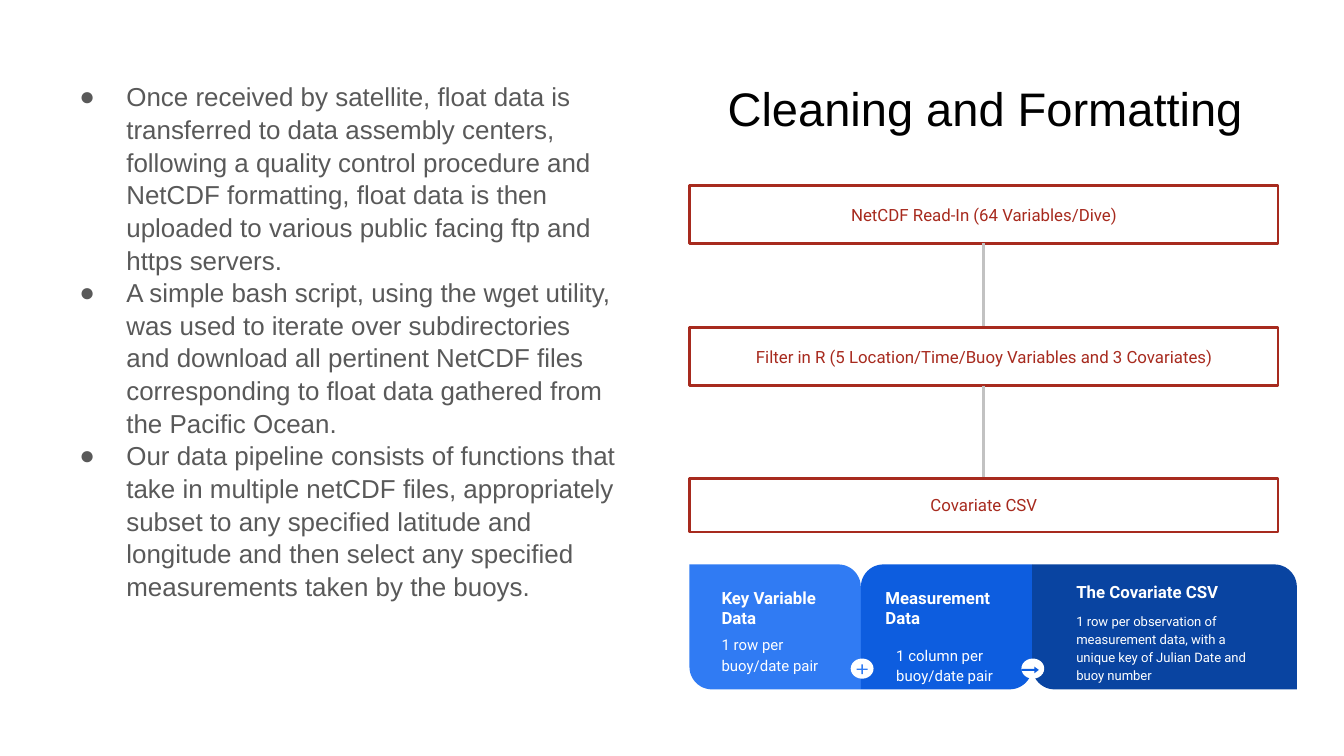
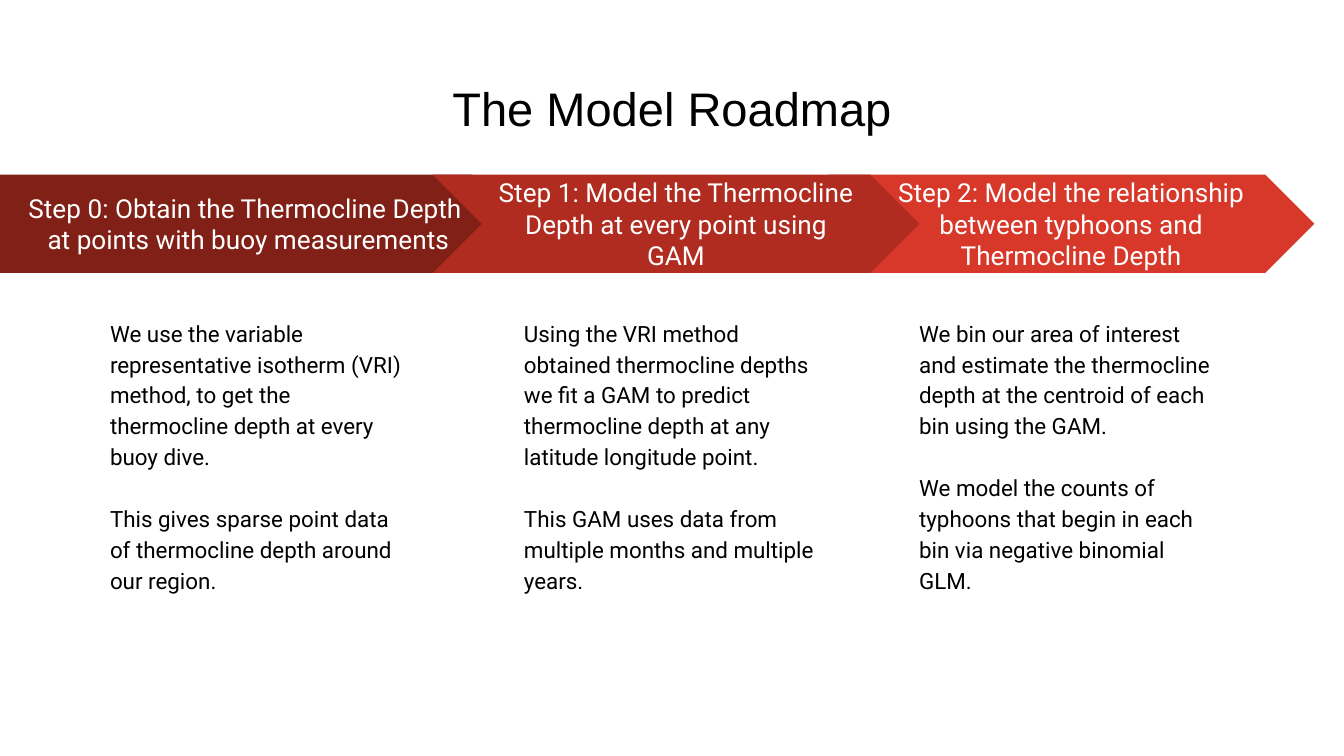
from dataclasses import dataclass
from lxml import etree
from pptx import Presentation
from pptx.dml.color import RGBColor
from pptx.enum.shapes import MSO_CONNECTOR, MSO_SHAPE
from pptx.enum.text import MSO_ANCHOR, MSO_AUTO_SIZE, PP_ALIGN
from pptx.oxml.ns import qn
from pptx.util import Inches, Pt

RECT, OVAL = MSO_SHAPE.RECTANGLE, MSO_SHAPE.OVAL
DIAG, CHEVRON = MSO_SHAPE.ROUND_2_DIAG_RECTANGLE, MSO_SHAPE.CHEVRON
PLATE, PLUS = MSO_SHAPE.PENTAGON, MSO_SHAPE.MATH_PLUS
ARROW = MSO_SHAPE.RIGHT_ARROW
LEFT, CENTER = PP_ALIGN.LEFT, PP_ALIGN.CENTER
TOP, MIDDLE = MSO_ANCHOR.TOP, MSO_ANCHOR.MIDDLE


@dataclass(frozen=True)
class Theme:
    head: str = "Arial"
    body: str = "Roboto"
    black: str = "000000"
    white: str = "FFFFFF"
    gray: str = "595959"
    rule: str = "C2C2C2"
    red: str = "A72A1E"
    steps: tuple = ("802017", "B02C20", "D83829")
    blues: tuple = ("307BF3", "0D5DDF", "0944A1")
    title: float = 25.2
    step: float = 14
    list: float = 13.9
    note: float = 12
    label: float = 9
    card: float = 8
    small: float = 7
    line: float = 1.5


T = Theme()
COLS, ROWS = 100, 56.25  # grid of tenths of an inch


def grid(*cells):
    """Turn grid cells into slide lengths."""
    return [Inches(c / 10) for c in cells]


def color(code):
    return RGBColor.from_string(code)


# Text
def write(frame, paras, size=T.label, ink=T.black, font=T.body, bold=False,
          align=LEFT, anchor=TOP, lead=1, gap=0, after=0, bullet=None):
    frame.word_wrap = True
    frame.auto_size = MSO_AUTO_SIZE.NONE
    frame.vertical_anchor = anchor
    frame.margin_left = frame.margin_right = Inches(0.1)
    frame.margin_top = frame.margin_bottom = Inches(0.1)
    for i, words in enumerate(paras):
        para = frame.add_paragraph() if i else frame.paragraphs[0]
        para.alignment = align
        para.line_spacing = lead
        para.space_before = Pt(gap if i else 0)
        para.space_after = Pt(after)
        if bullet:
            mark(para, bullet, ink)
        run = para.add_run()
        run.text = words
        run.font.size = Pt(size)
        run.font.name = font
        run.font.bold = bold
        run.font.color.rgb = color(ink)


def mark(para, sign, ink):
    """Give a paragraph a coloured bullet and a hanging indent."""
    props = para._p.get_or_add_pPr()
    props.set("marL", str(Inches(0.5)))
    props.set("indent", str(Inches(-0.35)))
    tint = etree.SubElement(props, qn("a:buClr"))
    etree.SubElement(tint, qn("a:srgbClr"), val=ink)
    etree.SubElement(props, qn("a:buFont"), typeface=T.head)
    etree.SubElement(props, qn("a:buChar"), char=sign)


def place(holder, cells):
    holder.left, holder.top, holder.width, holder.height = grid(*cells)
    return holder.text_frame


def title(slide, words, left, width):
    write(place(slide.shapes.title, (left, 4.9, width, 6.3)), [words],
          size=T.title, font=T.head, align=CENTER)


def note(slide, cells, paras, **form):
    write(slide.shapes.add_textbox(*grid(*cells)).text_frame, paras, **form)


# Shapes
def shape(slide, kind, cells, fill=None, edge=None, adj=()):
    item = slide.shapes.add_shape(kind, *grid(*cells))
    item.shadow.inherit = False
    for i, value in enumerate(adj):
        item.adjustments[i] = value
    if fill:
        item.fill.solid()
        item.fill.fore_color.rgb = color(fill)
    else:
        item.fill.background()
    if edge:
        item.line.color.rgb = color(edge)
        item.line.width = Pt(T.line)
    else:
        item.line.fill.background()
    return item


def link(slide, x, start, end):
    line = slide.shapes.add_connector(
        MSO_CONNECTOR.STRAIGHT, *grid(x, start, x, end))
    line.line.color.rgb = color(T.rule)
    line.line.width = Pt(T.line)
    etree.SubElement(line._element.spPr, qn("a:effectLst"))


def flow(slide, left, width, stages):
    """Stack outlined boxes and join each to the next."""
    last = None
    for top, high, words in stages:
        if last:
            link(slide, left + width / 2, last, top)
        box = shape(slide, RECT, (left, top, width, high), edge=T.red)
        write(box.text_frame, [words], ink=T.red, align=CENTER, anchor=MIDDLE)
        last = top + high


def card(slide, cells, fill, adj, head, text, size):
    """Draw a card; head and text are (left, top, width, words)."""
    shape(slide, DIAG, cells, fill, adj=adj)
    x, y, wide, words = head
    note(slide, (x, y, wide, 2.7), [words], ink=T.white, bold=True)
    x, y, wide, words = text
    note(slide, (x, y, wide, 3), [words], size=size, ink=T.white,
         lead=1.15, after=16)


def badge(slide, left, kind, cells, fill, adj):
    shape(slide, OVAL, (left, 49, 1.7, 1.5), T.white)
    shape(slide, kind, cells, fill, adj=adj)


def step(slide, kind, cells, fill, lines, left, paras):
    arrow = shape(slide, kind, cells, fill, adj=[0.5])
    write(arrow.text_frame, lines, size=T.step, ink=T.white,
          align=CENTER, anchor=MIDDLE)
    note(slide, (left, 22.5, 24.5, 28.6), paras, size=T.note,
         lead=1.15, gap=16.5)


# Slides
def cleaning(deck):
    slide = deck.slides.add_slide(deck.slide_layouts[1])
    title(slide, "Cleaning and Formatting", 50, 46.6)
    write(place(slide.placeholders[1], (3.4, 4.9, 43.5, 48.7)), [
        "Once received by satellite, float data is transferred to data "
        "assembly centers, following a quality control procedure and NetCDF "
        "formatting, float data is then uploaded to various public facing "
        "ftp and https servers.",
        "A simple bash script, using the wget utility, was used to iterate "
        "over subdirectories and download all pertinent NetCDF files "
        "corresponding to float data gathered from the Pacific Ocean.",
        "Our data pipeline consists of functions that take in multiple "
        "netCDF files, appropriately subset to any specified latitude and "
        "longitude and then select any specified measurements taken by the "
        "buoys.",
    ], size=T.list, ink=T.gray, font=T.head, lead=1.05, bullet="●")

    flow(slide, 51.3, 43.8, [
        (13.8, 4.3, "NetCDF Read-In (64 Variables/Dive)"),
        (24.4, 4.3,
         "Filter in R (5 Location/Time/Buoy Variables and 3 Covariates)"),
        (35.6, 4, "Covariate CSV"),
    ])

    # Cards, side by side
    rise, fall = (0, 0.18), (0.18, 0)
    cards = [
        (12.75, rise, (52.7, 42.7, 9.5, "Key Variable Data"),
         (52.7, 46.1, 9.5, "1 row per buoy/date pair"), T.card),
        (12.75, fall, (64.9, 42.7, 10.3, "Measurement Data"),
         (65.7, 46.9, 9.5, "1 column per buoy/date pair"), T.card),
        (19.7, rise, (79.1, 42.3, 15.9, "The Covariate CSV"),
         (79.1, 44.5, 15.9,
          "1 row per observation of measurement data, with a unique key of "
          "Julian Date and buoy number"), T.small),
    ]
    left = 51.3
    for fill, (wide, adj, head, text, size) in zip(T.blues, cards):
        card(slide, (left, 42, wide, 9.3), fill, adj, head, text, size)
        left += wide
    badge(slide, 76, ARROW, (76, 49.6, 1.3, 0.5), T.blues[1], (0.32, 0.67))
    badge(slide, 63.3, PLUS, (63.6, 49.3, 1.1, 1), T.blues[0], (0.1,))


def roadmap(deck):
    slide = deck.slides.add_slide(deck.slide_layouts[5])
    title(slide, "The Model Roadmap", 3.4, 93.2)
    steps = [
        (PLATE, 0, 38.8, 7.2,
         ["Step 0: Obtain the Thermocline Depth ",
          "at points with buoy measurements"],
         ["We use the variable representative isotherm (VRI) method, to get "
          "the thermocline depth at every buoy dive.",
          "This gives sparse point data of thermocline depth around our "
          "region."]),
        (CHEVRON, 32.2, 36.2, 38,
         ["Step 1: Model the Thermocline Depth at every point using GAM"],
         ["Using the VRI method obtained thermocline depths we fit a GAM to "
          "predict thermocline depth at any latitude longitude point.",
          "This GAM uses data from multiple months and multiple years."]),
        (CHEVRON, 61.6, 36.2, 67.4,
         ["Step 2: Model the relationship between typhoons and Thermocline "
          "Depth"],
         ["We bin our area of interest and estimate the thermocline depth at "
          "the centroid of each bin using the GAM.",
          "We model the counts of typhoons that begin in each bin via "
          "negative binomial GLM."]),
    ]
    # The middle arrow lies over both neighbours
    for i in (2, 0, 1):
        kind, left, wide, text, lines, paras = steps[i]
        step(slide, kind, (left, 13, wide, 7.3), T.steps[i], lines, text, paras)


def main():
    deck = Presentation()
    deck.slide_width, deck.slide_height = grid(COLS, ROWS)
    cleaning(deck)
    roadmap(deck)
    deck.save("out.pptx")


if __name__ == "__main__":
    main()
